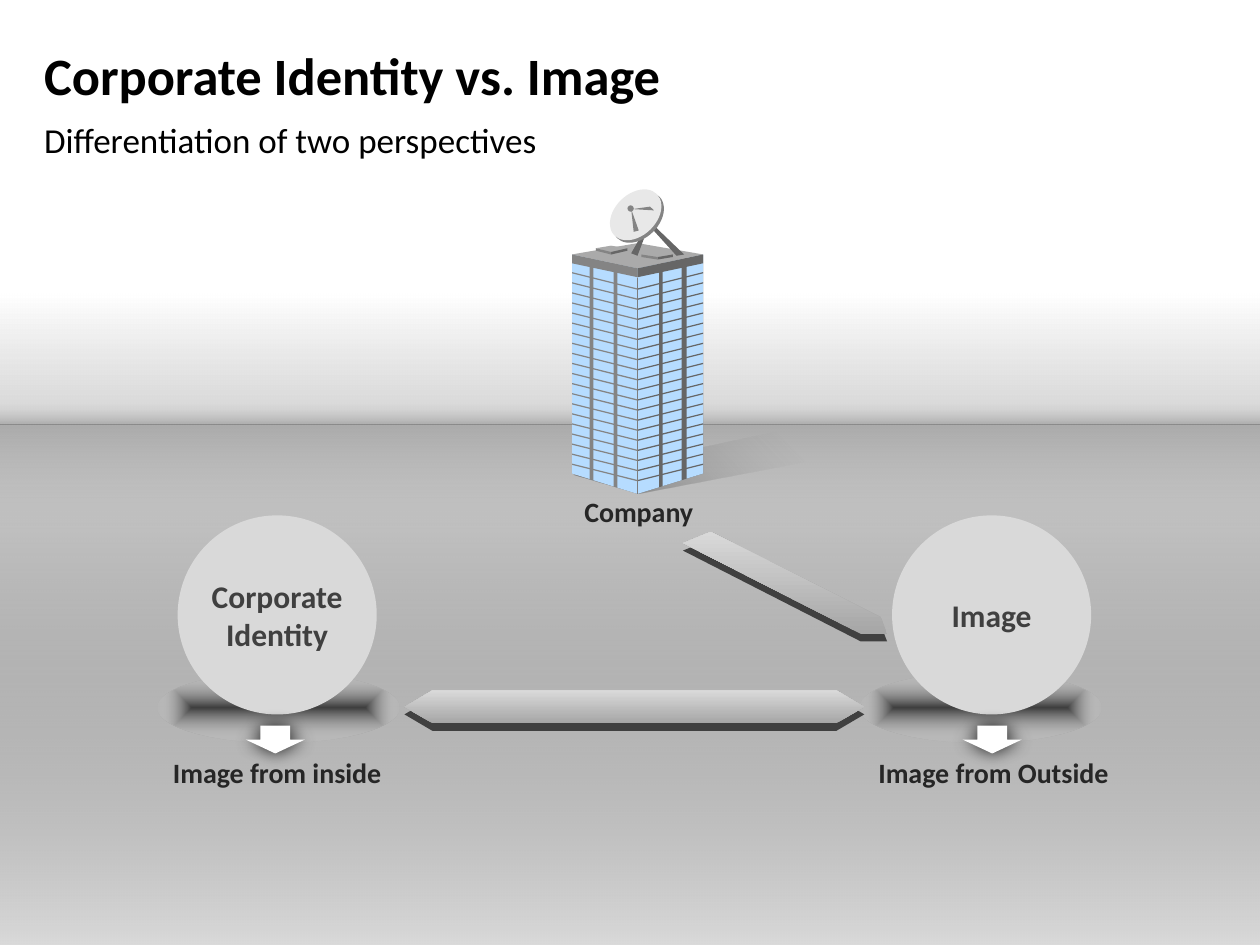
from dataclasses import dataclass

from lxml import etree
from pptx import Presentation
from pptx.dml.color import RGBColor
from pptx.enum import shapes, text
from pptx.oxml.ns import qn
from pptx.util import Inches, Pt

SHAPE = shapes.MSO_SHAPE


@dataclass(frozen=True)
class Theme:
    font: str = "Calibri"
    title: int = 30
    subtitle: int = 20
    circle: int = 18
    caption: int = 16
    black: str = "000000"
    white: str = "FFFFFF"
    label: str = "404040"
    dark: str = "262626"
    ball: str = "D9D9D9"
    bar: str = "A6A6A6"
    glass: str = "B6DCFF"
    left_wall: str = "848484"
    right_wall: str = "666666"
    roof: str = "AAAAAA"
    dish: str = "E8E8E8"
    edge: str = "7D7D7D"


T = Theme()
LEFT, CORNER, RIGHT = 4.54, 5.06, 5.58


def style_text(tf, size, color, bold=True, align=text.PP_ALIGN.CENTER):
    for p in tf.paragraphs:
        p.alignment = align
        for r in p.runs:
            r.font.name = T.font
            r.font.size = Pt(size)
            r.font.bold = bold
            r.font.color.rgb = RGBColor.from_string(color)


def paint(s, color):
    s.shadow.inherit = False
    s.line.fill.background()
    s.fill.solid()
    s.fill.fore_color.rgb = RGBColor.from_string(color)
    return s


def paint_gradient(s, stops, angle=None):
    """Fill with (position, colour, opacity) stops; no angle means from the centre."""
    s.shadow.inherit = False
    s.line.fill.background()
    s.fill.gradient()
    grad = s._element.spPr.find(qn("a:gradFill"))
    for child in list(grad):
        grad.remove(child)
    gs_lst = etree.SubElement(grad, qn("a:gsLst"))
    for pos, color, opacity in stops:
        gs = etree.SubElement(gs_lst, qn("a:gs"), pos=str(pos * 1000))
        clr = etree.SubElement(gs, qn("a:srgbClr"), val=color)
        etree.SubElement(clr, qn("a:alpha"), val=str(opacity * 1000))
    if angle is None:
        centre = etree.SubElement(grad, qn("a:path"), path="shape")
        etree.SubElement(centre, qn("a:fillToRect"),
                         {side: "50000" for side in "ltrb"})
    else:
        etree.SubElement(grad, qn("a:lin"), ang=str(angle * 60000), scaled="0")
    return s


def add_glow(s, opacity, blur):
    effects = s._element.spPr.find(qn("a:effectLst"))
    glow = etree.SubElement(effects, qn("a:outerShdw"), blurRad=str(Pt(blur)),
                            dist="0", dir="0", algn="ctr", rotWithShape="0")
    clr = etree.SubElement(glow, qn("a:srgbClr"), val=T.black)
    etree.SubElement(clr, qn("a:alpha"), val=str(opacity * 1000))


def add_preset(sp, kind, x, y, w, h):
    return sp.add_shape(kind, Inches(x), Inches(y), Inches(w), Inches(h))


def add_polygon(sp, *outlines):
    """Draw one freeform from closed outlines given in inches."""
    points = [[(Inches(x), Inches(y)) for x, y in o] for o in outlines]
    fb = sp.build_freeform(*points[0][0], scale=1.0)
    fb.add_line_segments(points[0][1:], close=True)
    for outline in points[1:]:
        fb.move_to(*outline[0])
        fb.add_line_segments(outline[1:], close=True)
    return fb.convert_to_shape()


def add_caption(sp, words, x, y, w):
    tb = sp.add_textbox(Inches(x), Inches(y), Inches(w), Inches(0.37))
    tf = tb.text_frame
    tf.text = words
    tf.word_wrap = False
    tf.auto_size = text.MSO_AUTO_SIZE.SHAPE_TO_FIT_TEXT
    style_text(tf, T.caption, T.dark)


def fill_placeholder(ph, words, y, h, size, bold, anchor):
    ph.left, ph.top, ph.width, ph.height = map(Inches, (0.35, y, 9.29, h))
    tf = ph.text_frame
    tf.text = words
    tf.margin_left = tf.margin_right = tf.margin_top = tf.margin_bottom = 0
    tf.vertical_anchor = anchor
    tf.auto_size = text.MSO_AUTO_SIZE.NONE
    p = tf.paragraphs[0]
    p.space_before = Pt(0)
    pPr = p._p.get_or_add_pPr()
    pPr.set("marL", "0")
    pPr.set("indent", "0")
    etree.SubElement(pPr, qn("a:buNone"))
    style_text(tf, size, T.black, bold, text.PP_ALIGN.LEFT)


def add_floor(sp):
    fade = [(0, T.black, 20), (100, T.white, 0)]
    for y, h, stops, angle in [
        (2.33, 5.17, [(0, T.black, 15), (100, T.white, 100)], 270),
        (3.37, 1.07, fade, 90),
        (3.16, 0.21, fade, 270),
    ]:
        paint_gradient(add_preset(sp, SHAPE.RECTANGLE, 0, y, 10, h), stops, angle)


def add_wall(sp, outer, panes, color):
    """Draw one wall: frame, window columns and the slanted floor lines."""
    def top(x):
        return 2.13 - abs(CORNER - x) * 0.21

    def foot(x):
        return 3.92 - abs(CORNER - x) * 0.31

    def column(a, b):
        return [(a, top(a)), (b, top(b)), (b, foot(b)), (a, foot(a))]

    paint(add_polygon(sp, column(outer, CORNER)), color)
    paint(add_polygon(sp, *(column(a, b) for a, b in panes)), T.glass)
    for i in range(20):
        y = 2.16 + 0.08 * i
        paint(add_polygon(sp, [(outer, y), (CORNER, y + 0.13),
                               (CORNER, y + 0.14), (outer, y + 0.01)]), color)


def add_slab(sp, left, right, back, front, side, mid, thick):
    """Draw a flat box seen from its front corner."""
    l, r, b, f = (left, side), (right, side), (mid, back), (mid, front)
    l2, r2, f2 = ((x, y + thick) for x, y in (l, r, f))
    paint(add_polygon(sp, [b, l, f, r]), T.roof)
    paint(add_polygon(sp, [r2, f2, f, r]), T.right_wall)
    paint(add_polygon(sp, [f2, l2, l, f]), T.left_wall)


def add_building(sp):
    shade = add_polygon(sp, [(5.07, 3.92), (6.82, 3.59), (6.21, 3.42), (4.55, 3.77)])
    paint_gradient(shade, [(0, T.black, 40), (76, "808080", 0)], 315)
    add_wall(sp, LEFT, [(4.54, 4.68), (4.71, 4.87), (4.9, CORNER)], T.left_wall)
    add_wall(sp, RIGHT, [(CORNER, 5.23), (5.26, 5.41), (5.45, RIGHT)], T.right_wall)
    add_slab(sp, LEFT, RIGHT, 1.93, 2.13, 2.02, CORNER, 0.07)
    add_slab(sp, 4.73, 4.98, 1.95, 2, 1.97, 4.85, 0.02)
    add_slab(sp, 5.09, 5.34, 2, 2.04, 2.02, 5.22, 0.02)
    for leg in ([(5.15, 1.79), (5.13, 1.8), (5.01, 2.01), (5.06, 2.03)],
                [(5.18, 1.78), (5.17, 1.81), (5.37, 2.03), (5.43, 2.02)]):
        paint(add_polygon(sp, leg), T.right_wall)
    for x, y, color in [(4.83, 1.56, T.left_wall), (4.81, 1.54, T.dish)]:
        dish = paint(add_preset(sp, SHAPE.OVAL, x, y, 0.47, 0.33), color)
        dish.rotation = -44
    for strut in ([(5.03, 1.84), (5.07, 1.83), (5.01, 1.66)],
                  [(5.16, 1.64), (5.19, 1.67), (5.02, 1.66)]):
        paint(add_polygon(sp, strut), T.left_wall)
    paint(add_preset(sp, SHAPE.OVAL, 4.98, 1.63, 0.05, 0.05), T.left_wall)
    edge = sp.add_connector(shapes.MSO_CONNECTOR.STRAIGHT, Inches(CORNER),
                            Inches(2.21), Inches(CORNER), Inches(3.92))
    edge.line.color.rgb = RGBColor.from_string(T.edge)
    edge.line.width = Pt(0.75)
    etree.SubElement(edge._element.spPr, qn("a:effectLst"))


def add_ball(sp, words, x, shadow_x):
    shadow = add_preset(sp, SHAPE.OVAL, shadow_x, 5.34, 1.92, 0.55)
    paint_gradient(shadow, [(0, T.black, 66), (100, T.white, 0)])
    ball = paint(add_preset(sp, SHAPE.OVAL, x, 4.09, 1.58, 1.58), T.ball)
    tf = ball.text_frame
    tf.text = words
    tf.word_wrap = False
    tf.vertical_anchor = text.MSO_ANCHOR.MIDDLE
    style_text(tf, T.circle, T.label)


def add_bars(sp):
    """Draw each bar as a dark side with a lighter face above it."""
    steel = [(0, T.bar, 100), (100, T.ball, 100)]
    for lift in (0.06, 0):
        level = add_preset(sp, SHAPE.LEFT_RIGHT_ARROW, 3.21, 5.48 + lift, 3.65, 0.26)
        level.adjustments[0], level.adjustments[1] = 1, 0.85
        slope = add_polygon(sp, [(x, y + lift) for x, y in (
            (5.42, 4.31), (5.64, 4.22), (6.99, 4.9), (7.04, 5.03), (6.83, 5.03))])
        for bar in (level, slope):
            if lift:
                paint(bar, T.label)
            else:
                paint_gradient(bar, steel, 270)


def main():
    prs = Presentation()
    prs.slide_width, prs.slide_height = Inches(10), Inches(7.5)
    slide = prs.slides.add_slide(prs.slide_layouts[1])
    sp = slide.shapes
    fill_placeholder(sp.title, "Corporate Identity vs. Image", 0.26, 0.67,
                     T.title, True, text.MSO_ANCHOR.MIDDLE)
    fill_placeholder(slide.placeholders[1], "Differentiation of two perspectives",
                     0.94, 0.37, T.subtitle, False, text.MSO_ANCHOR.TOP)
    add_floor(sp)
    add_building(sp.add_group_shape().shapes)
    add_ball(sp, "Corporate\vIdentity", 1.41, 1.25)
    add_ball(sp, "Image", 7.08, 6.82)
    add_bars(sp)
    add_caption(sp, "Image from inside", 1.26, 5.95, 1.88)
    add_caption(sp, "Image from Outside", 6.86, 5.95, 2.05)
    for x in (1.95, 7.64):
        arrow = paint(add_preset(sp, SHAPE.DOWN_ARROW, x, 5.76, 0.47, 0.22), T.white)
        add_glow(arrow, 85, 10)
    add_caption(sp, "Company", 4.53, 3.88, 1.08)
    prs.save("out.pptx")


if __name__ == "__main__":
    main()
